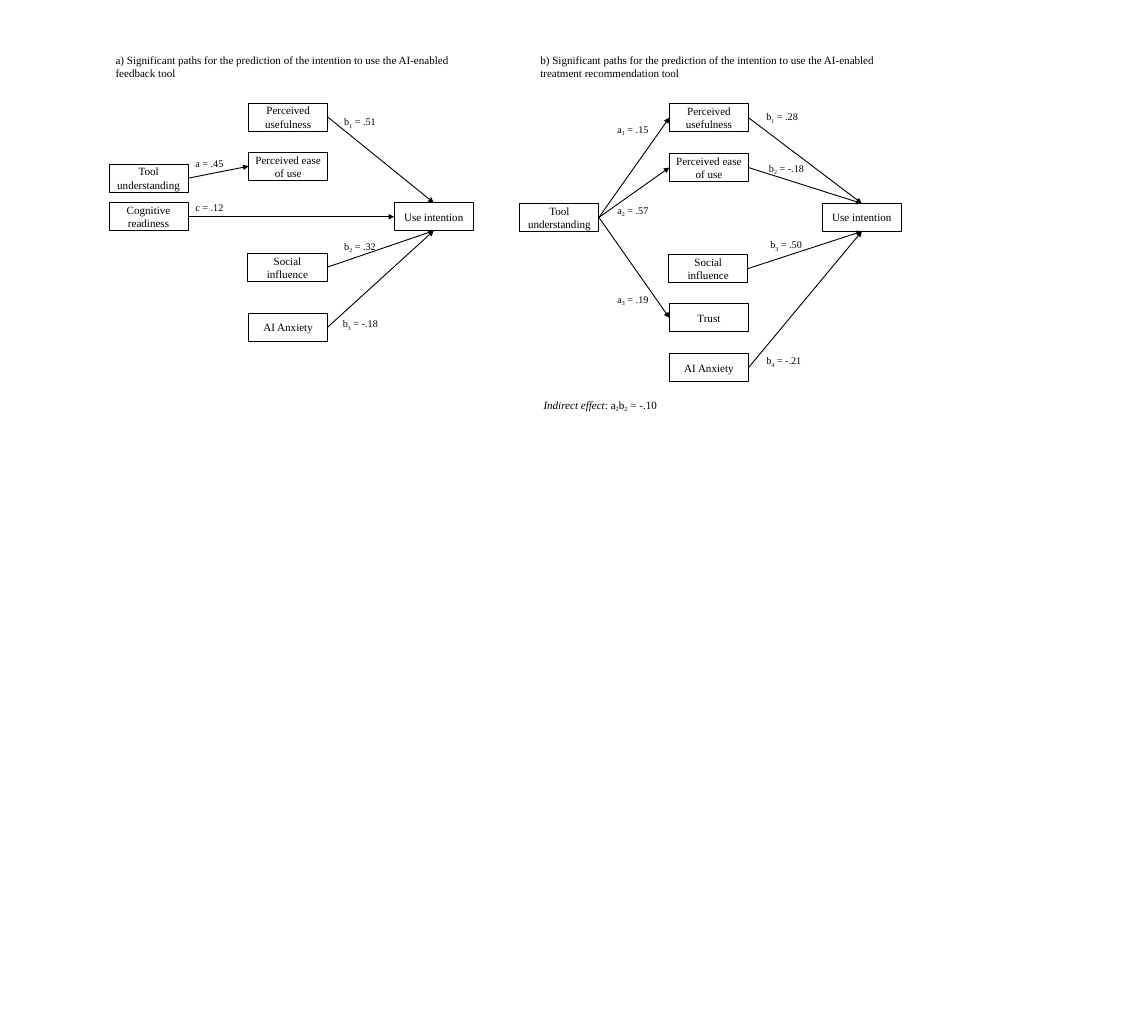
from dataclasses import dataclass

from lxml import etree
from pptx import Presentation
from pptx import util as u
from pptx.dml.color import RGBColor
from pptx.enum import shapes, text
from pptx.oxml import ns

PX = 9144  # 100 px to the inch
TOP, LEFT, LOW, RIGHT = range(4)


@dataclass
class Theme:
    ink: RGBColor = RGBColor(0, 0, 0)
    font: str = "Times New Roman"
    body: int = 12
    small: int = 11
    line: int = 1


def write(frame, words, theme, size, lead="", align=None, wrap=True, fit=False):
    """Fill a frame; |bars| enclose subscripts and the lead is set in italics."""
    frame.word_wrap = wrap
    if fit:
        frame.auto_size = text.MSO_AUTO_SIZE.SHAPE_TO_FIT_TEXT
    para = frame.paragraphs[0]
    para.alignment = align
    parts = [(lead, True, False)]
    parts += [(part, False, n % 2 == 1) for n, part in enumerate(words.split("|"))]
    for part, slant, sub in parts:
        if not part:
            continue
        run = para.add_run()
        run.text = part
        font = run.font
        font.name, font.size, font.color.rgb = theme.font, u.Pt(size), theme.ink
        if slant:
            font.italic = True
        if sub:
            font._element.set("baseline", "-25000")


class Board:
    def __init__(self, slide, theme):
        self.slide, self.theme = slide, theme

    def field(self, x, y, w, h):
        return self.slide.shapes.add_textbox(x * PX, y * PX, w * PX, h * PX).text_frame

    def caption(self, words, x, y, w, h):
        write(self.field(x, y, w, h), words, self.theme, self.theme.body, fit=True)

    def label(self, words, x, y, w):
        write(self.field(x, y, w, 29), words, self.theme, self.theme.small,
              wrap=False, fit=True)

    def note(self, lead, words, x, y, w, h):
        frame = self.field(x, y, w, h)
        frame.vertical_anchor = text.MSO_ANCHOR.MIDDLE
        write(frame, words, self.theme, self.theme.body, lead=lead,
              align=text.PP_ALIGN.CENTER)

    def box(self, words, x, y, w=119, h=42):
        box = self.slide.shapes.add_shape(
            shapes.MSO_SHAPE.RECTANGLE, x * PX, y * PX, w * PX, h * PX)
        box.shadow.inherit = False
        box.fill.background()
        box.line.color.rgb = self.theme.ink
        box.line.width = u.Pt(self.theme.line)
        box.text_frame.vertical_anchor = text.MSO_ANCHOR.MIDDLE
        write(box.text_frame, words, self.theme, self.theme.body,
              align=text.PP_ALIGN.CENTER)
        return box

    def arrow(self, start, end, side):
        """Run from the right of one box to the given side of another."""
        arrow = self.slide.shapes.add_connector(
            shapes.MSO_CONNECTOR.STRAIGHT, 0, 0, 0, 0)
        arrow.begin_connect(start, RIGHT)
        arrow.end_connect(end, side)
        arrow.line.color.rgb = self.theme.ink
        arrow.line.width = u.Pt(self.theme.line)
        tail = etree.SubElement(arrow.line._get_or_add_ln(), ns.qn("a:tailEnd"))
        tail.set("type", "triangle")
        etree.SubElement(arrow._element.spPr, ns.qn("a:effectLst"))

    def panel(self, title, boxes, paths, labels):
        self.caption(*title)
        made = {words: self.box(words, x, y) for words, x, y in boxes}
        for start, end, side in paths:
            self.arrow(made[start], made[end], side)
        for label in labels:
            self.label(*label)


TOOL, READY, USE = "Tool understanding", "Cognitive readiness", "Use intention"
USEFUL, EASE = "Perceived usefulness", "Perceived ease of use"
SOCIAL, TRUST, FEAR = "Social influence", "Trust", "AI Anxiety"

FEEDBACK = dict(
    title=("a) Significant paths for the prediction of the intention to use "
           "the AI-enabled feedback tool", 164, 75, 566, 50),
    boxes=[(TOOL, 164, 247), (READY, 164, 305), (USEFUL, 374, 155),
           (EASE, 374, 229), (SOCIAL, 373, 381), (FEAR, 374, 471),
           (USE, 593, 305)],
    paths=[(TOOL, EASE, LEFT), (READY, USE, LEFT), (USEFUL, USE, TOP),
           (SOCIAL, USE, LOW), (FEAR, USE, LOW)],
    labels=[("a = .45", 284, 231, 62), ("c = .12", 284, 298, 62),
            ("b|1| = .51", 508, 169, 70), ("b|2| = .32", 508, 356, 70),
            ("b|3| = -.18", 506, 473, 75)],
)
TREATMENT = dict(
    title=("b) Significant paths for the prediction of the intention to use "
           "the AI-enabled treatment recommendation tool", 803, 75, 552, 50),
    boxes=[(TOOL, 782, 306), (USEFUL, 1007, 156), (EASE, 1007, 231),
           (SOCIAL, 1006, 383), (TRUST, 1007, 457), (FEAR, 1007, 532),
           (USE, 1237, 306)],
    paths=[(TOOL, USEFUL, LEFT), (TOOL, EASE, LEFT), (TOOL, TRUST, LEFT),
           (USEFUL, USE, TOP), (EASE, USE, TOP),
           (SOCIAL, USE, LOW), (FEAR, USE, LOW)],
    labels=[("a|1| = .15", 919, 180, 69), ("a|2| = .57", 919, 302, 67),
            ("a|3| = .19", 919, 436, 68), ("b|1| = .28", 1143, 161, 70),
            ("b|2| = -.18", 1147, 239, 75), ("b|3| = .50", 1149, 354, 70),
            ("b|4| = -.21", 1143, 528, 75)],
)


def main():
    deck = Presentation()
    deck.slide_width, deck.slide_height = 1727 * PX, 1537 * PX
    board = Board(deck.slides.add_slide(deck.slide_layouts[6]), Theme())
    for panel in (FEEDBACK, TREATMENT):
        board.panel(**panel)
    board.note("Indirect effect", ": a|2|b|2| = -.10", 782, 589, 242, 42)
    deck.save("out.pptx")


if __name__ == "__main__":
    main()
